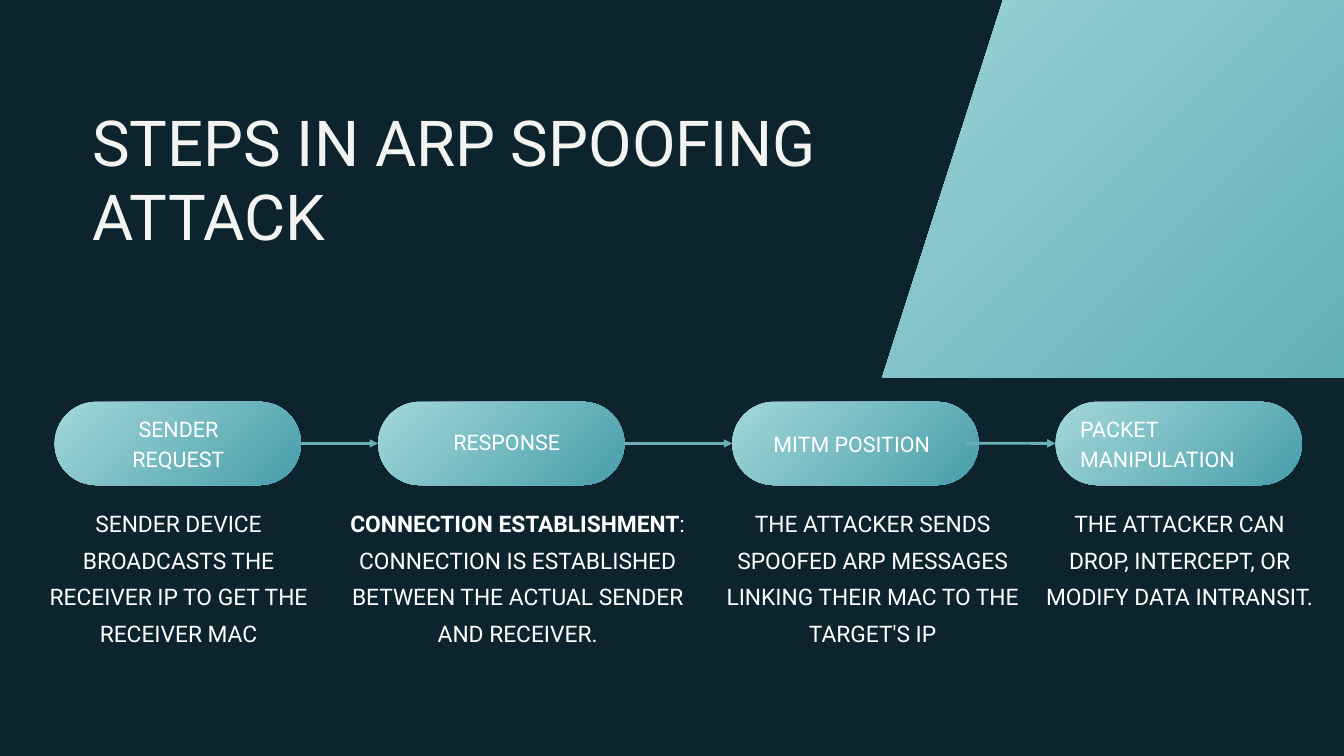
from dataclasses import dataclass
from itertools import pairwise

from lxml.etree import SubElement
from pptx import Presentation
from pptx.dml.color import RGBColor
from pptx.enum.shapes import MSO_CONNECTOR, MSO_SHAPE
from pptx.enum.text import MSO_ANCHOR, MSO_AUTO_SIZE, PP_ALIGN
from pptx.oxml.ns import qn
from pptx.util import Emu, Pt

SCALE = 9525


@dataclass(frozen=True)
class Type:
    size: float
    pitch: float
    color: str


@dataclass(frozen=True)
class Theme:
    font: str = "Roboto"
    back: str = "0D232D"
    light: str = "A3D7D8"
    deep: str = "489EAB"
    line: str = "6CAFB9"
    title: Type = Type(67.9, 78.8, "F3F3F2")
    label: Type = Type(23, 32.2, "FFFFFF")
    body: Type = Type(24.4, 39.2, "FFFFFF")


@dataclass(frozen=True)
class Step:
    left: int
    label: str
    spot: tuple
    align: PP_ALIGN
    lead: str
    body: str
    span: tuple


THEME = Theme()
PILL_TOP, PILL_WIDE, PILL_HIGH = 574, 352, 119
LABEL_WIDE, BODY_TOP, BODY_HIGH = 300, 715, 205
LEFT, MID = PP_ALIGN.LEFT, PP_ALIGN.CENTER

STEPS = [
    Step(78, "SENDER\nREQUEST", (105, 588, 84), MID, "",
         "SENDER DEVICE BROADCASTS THE RECEIVER IP TO GET THE RECEIVER MAC",
         (60, 390)),
    Step(540, "RESPONSE", (574, 607, 42), MID, "CONNECTION ESTABLISHMENT",
         ": CONNECTION IS ESTABLISHED BETWEEN THE ACTUAL SENDER AND RECEIVER.",
         (482, 515)),
    Step(1046, "MITM POSITION", (1105, 610, 42), LEFT, "",
         "THE ATTACKER SENDS SPOOFED ARP MESSAGES LINKING THEIR MAC TO THE "
         "TARGET'S IP",
         (1029, 435)),
    Step(1508, "PACKET MANIPULATION", (1543, 588, 84), LEFT, "",
         "THE ATTACKER CAN DROP, INTERCEPT, OR MODIFY DATA INTRANSIT.",
         (1492, 386)),
]


def px(*values):
    return [Emu(value * SCALE) for value in values]


def style(frame, kind, align):
    frame.word_wrap = True
    frame.auto_size = MSO_AUTO_SIZE.NONE
    frame.vertical_anchor = MSO_ANCHOR.TOP
    frame.margin_left = frame.margin_right = 0
    frame.margin_top = frame.margin_bottom = 0
    for para in frame.paragraphs:
        para.alignment = align
        para.line_spacing = Pt(kind.pitch)
        for run in para.runs:
            run.font.name = THEME.font
            run.font.size = Pt(kind.size)
            run.font.color.rgb = RGBColor.from_string(kind.color)


def add_title(slide, text, box):
    title = slide.shapes.title
    title.left, title.top, title.width, title.height = px(*box)
    title.text_frame.text = text
    style(title.text_frame, THEME.title, LEFT)


def add_text(slide, text, box, kind, align, lead=""):
    frame = slide.shapes.add_textbox(*px(*box)).text_frame
    frame.text = lead or text
    if lead:
        para = frame.paragraphs[0]
        para.runs[0].font.bold = True
        para.add_run().text = text
    style(frame, kind, align)


def add_panel(slide, form, box, adjust):
    panel = slide.shapes.add_shape(form, *px(*box))
    panel.adjustments[0] = adjust
    panel.shadow.inherit = False
    panel.line.fill.background()
    panel.fill.gradient()
    panel.fill.gradient_angle = 315
    for stop, color in zip(panel.fill.gradient_stops, (THEME.light, THEME.deep)):
        stop.color.rgb = RGBColor.from_string(color)
    return panel


def add_arrow(slide, start, end, begin=None):
    mid = PILL_TOP + PILL_HIGH // 2
    arrow = slide.shapes.add_connector(
        MSO_CONNECTOR.STRAIGHT, *px(begin or 0, mid, 0, mid))
    if begin is None:
        arrow.begin_connect(start, 3)
    arrow.end_connect(end, 1)
    arrow.line.width = Pt(3)
    arrow.line.color.rgb = RGBColor.from_string(THEME.line)
    SubElement(arrow.line._get_or_add_ln(), qn("a:tailEnd"), type="triangle")
    SubElement(arrow._element.spPr, qn("a:effectLst"))


def main():
    deck = Presentation()
    deck.slide_width, deck.slide_height = px(1920, 1080)
    slide = deck.slides.add_slide(deck.slide_layouts[5])
    slide.background.fill.solid()
    slide.background.fill.fore_color.rgb = RGBColor.from_string(THEME.back)

    add_panel(slide, MSO_SHAPE.PARALLELOGRAM, (1260, -136, 1214, 676), 0.32)
    add_title(slide, "STEPS IN ARP SPOOFING ATTACK", (132, 151, 1272, 209))

    pills = [
        add_panel(slide, MSO_SHAPE.ROUNDED_RECTANGLE,
                  (step.left, PILL_TOP, PILL_WIDE, PILL_HIGH), 0.5)
        for step in STEPS
    ]
    for (start, end), begin in zip(pairwise(pills), (None, None, 1380)):
        add_arrow(slide, start, end, begin)

    for step in STEPS:
        left, top, high = step.spot
        add_text(slide, step.label, (left, top, LABEL_WIDE, high),
                 THEME.label, step.align)
        left, wide = step.span
        add_text(slide, step.body, (left, BODY_TOP, wide, BODY_HIGH),
                 THEME.body, MID, step.lead)

    deck.save("out.pptx")


if __name__ == "__main__":
    main()
